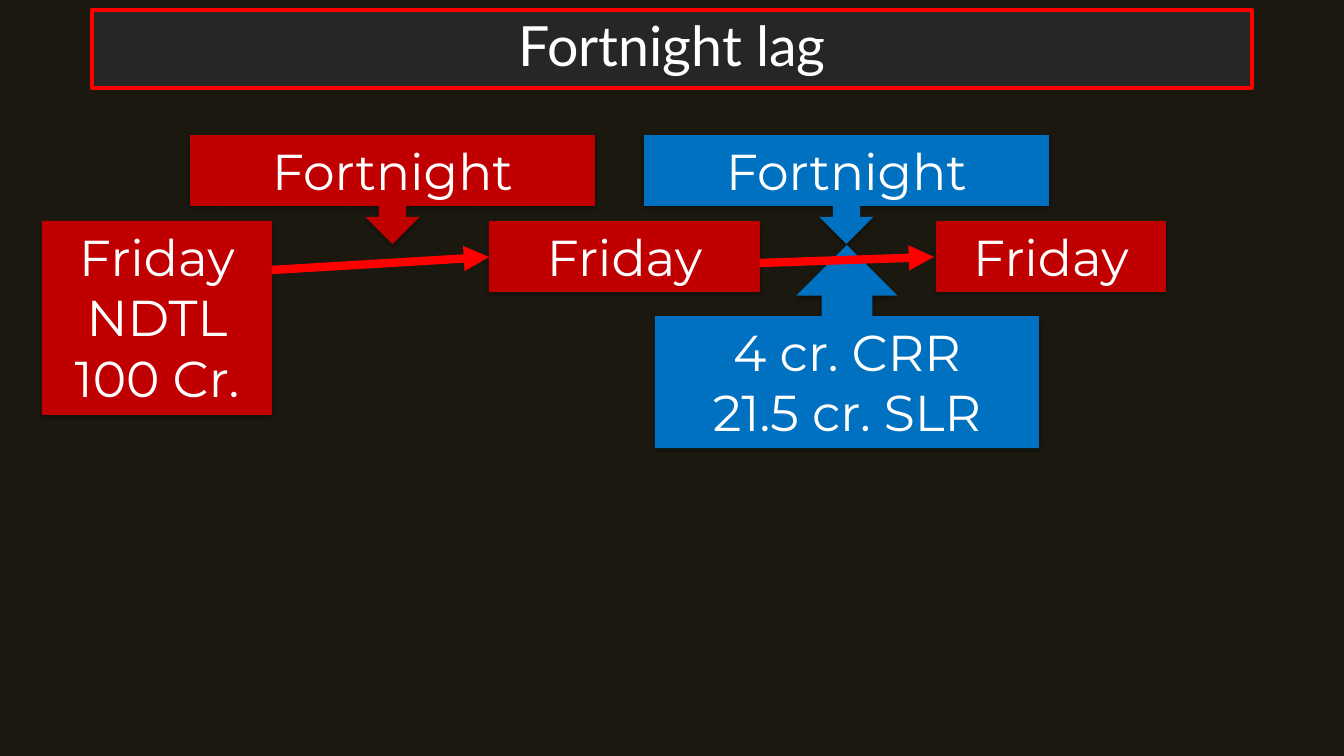
from lxml import etree
from pptx import Presentation
from pptx.dml.color import RGBColor
from pptx.enum import shapes, text
from pptx.oxml import parse_xml
from pptx.oxml.ns import nsdecls, qn
from pptx.util import Emu, Pt

HEADING = "Fortnight lag"
RED, BLUE, BRIGHT, WHITE = "C00000", "0070C0", "FF0000", "FFFFFF"
BOX = shapes.MSO_SHAPE.RECTANGLE
DOWN = shapes.MSO_SHAPE.DOWN_ARROW_CALLOUT
UP = shapes.MSO_SHAPE.UP_ARROW_CALLOUT
STEPS = [
    (BOX, "Friday\nNDTL\n100 Cr.", RED, (42, 221, 230, 194)),
    (BOX, "Friday", RED, (489, 221, 271, 71)),
    (BOX, "Friday", RED, (936, 221, 230, 71)),
    (DOWN, "Fortnight", RED, (190, 135, 405, 109)),
    (DOWN, "Fortnight", BLUE, (644, 135, 405, 109)),
    (UP, "4 cr. CRR\n21.5 cr. SLR", BLUE, (655, 245, 384, 203)),
]
LAGS = [(272, 270, 489, 257), (760, 263, 934, 257)]


def px(*lengths):
    return [Emu(round(length * 914400 / 100.8)) for length in lengths]


def rgb(value):
    return RGBColor.from_string(value)


def write(frame, words, font_name, size):
    frame.text = words
    for paragraph in frame.paragraphs:
        paragraph.alignment = text.PP_ALIGN.CENTER
        for run in paragraph.runs:
            run.font.name = font_name
            run.font.size = Pt(size)
            run.font.color.rgb = rgb(WHITE)


def add_shadow(shape):
    shape.shadow.inherit = False
    effects = shape._element.spPr.find(qn("a:effectLst"))
    effects.append(parse_xml(
        f'<a:outerShdw {nsdecls("a")} blurRad="39370" dist="22860" dir="5400000"'
        ' rotWithShape="0"><a:srgbClr val="000000"><a:alpha val="35000"/>'
        '</a:srgbClr></a:outerShdw>'))


def add_heading(slide):
    heading = slide.shapes.title
    heading.left, heading.top, heading.width, heading.height = px(92, 10, 1160, 78)
    heading._element.spPr.append(parse_xml(
        f'<a:prstGeom {nsdecls("a")} prst="roundRect"><a:avLst>'
        '<a:gd name="adj" fmla="val 2000"/></a:avLst></a:prstGeom>'))
    heading.fill.solid()
    heading.fill.fore_color.rgb = rgb("262626")
    heading.line.color.rgb = rgb(BRIGHT)
    heading.line.width = Pt(3)
    write(heading.text_frame, HEADING, "Lato", 39.6)
    heading.text_frame.vertical_anchor = text.MSO_ANCHOR.MIDDLE
    heading.text_frame.paragraphs[0].line_spacing = 0.9


def add_step(slide, kind, words, colour, place):
    step = slide.shapes.add_shape(kind, *px(*place))
    step.fill.solid()
    step.fill.fore_color.rgb = rgb(colour)
    step.line.fill.background()
    add_shadow(step)
    write(step.text_frame, words, "Montserrat", 36)
    step.text_frame.word_wrap = True
    step.text_frame.vertical_anchor = text.MSO_ANCHOR.TOP
    step.text_frame.auto_size = text.MSO_AUTO_SIZE.SHAPE_TO_FIT_TEXT


def add_lag(slide, ends):
    lag = slide.shapes.add_connector(shapes.MSO_CONNECTOR.STRAIGHT, *px(*ends))
    lag.line.color.rgb = rgb(BRIGHT)
    lag.line.width = Pt(6)
    etree.SubElement(lag.line._get_or_add_ln(), qn("a:tailEnd"), type="triangle")
    etree.SubElement(lag._element.spPr, qn("a:effectLst"))


def main():
    deck = Presentation()
    deck.slide_width, deck.slide_height = px(1344, 756)
    slide = deck.slides.add_slide(deck.slide_layouts[5])
    slide.background.fill.solid()
    slide.background.fill.fore_color.rgb = rgb("1B1810")
    add_heading(slide)
    for step in STEPS:
        add_step(slide, *step)
    for ends in LAGS:
        add_lag(slide, ends)
    deck.save("out.pptx")


if __name__ == "__main__":
    main()
